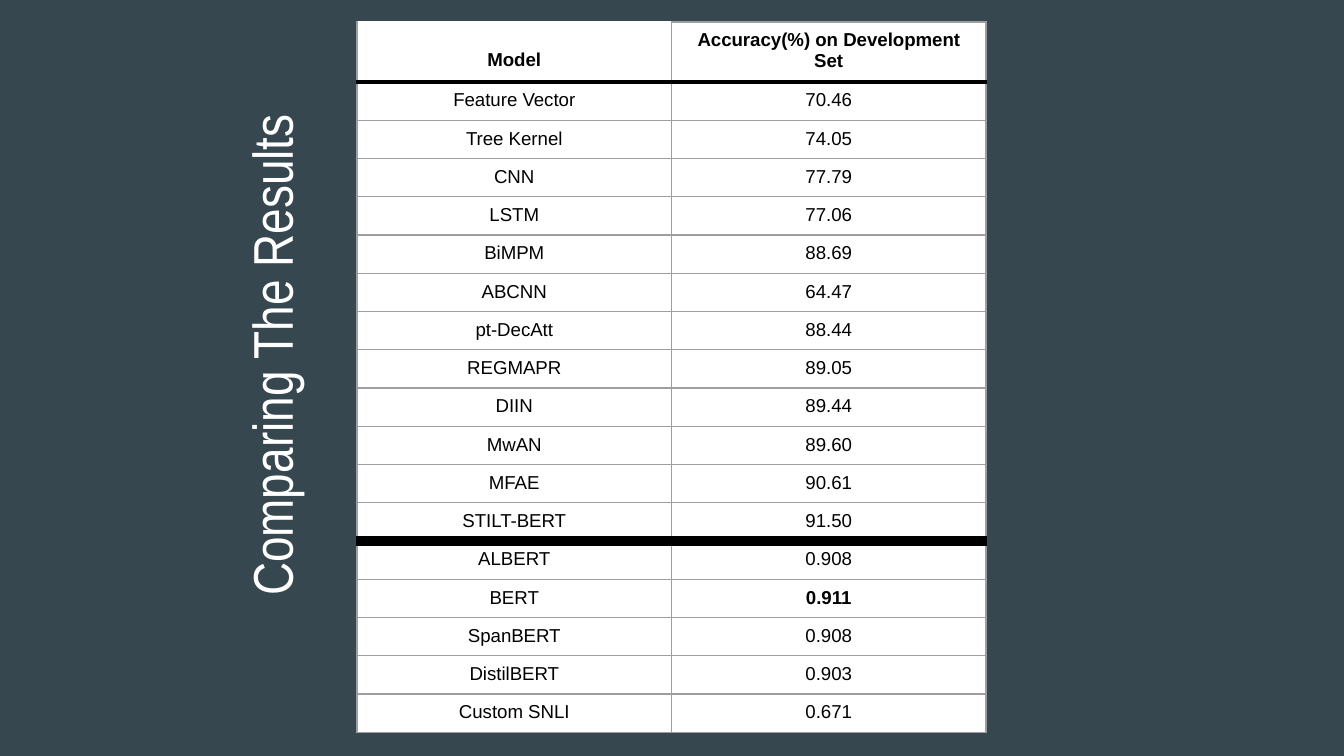
from dataclasses import dataclass

from lxml.etree import SubElement
from pptx import Presentation
from pptx.dml.color import RGBColor
from pptx.enum.text import MSO_ANCHOR, MSO_AUTO_SIZE, PP_ALIGN
from pptx.oxml.ns import qn
from pptx.util import Pt

PX = 9144000 / 1344  # EMU per px on a slide 1344 px wide


@dataclass(frozen=True)
class Theme:
    background: str = "37474F"
    title: str = "FFFFFF"
    cell: str = "FFFFFF"
    text: str = "000000"
    grid: str = "9E9E9E"
    rule: str = "000000"
    title_font: str = "Arial Narrow"
    table_font: str = "Arial"
    title_size: int = 30
    table_size: int = 10
    grid_width: float = 0.75


THEME = Theme()

HEADER = ("Model", "Accuracy(%) on Development Set")
RESULTS = [
    ("Feature Vector", "70.46"),
    ("Tree Kernel", "74.05"),
    ("CNN", "77.79"),
    ("LSTM", "77.06"),
    ("BiMPM", "88.69"),
    ("ABCNN", "64.47"),
    ("pt-DecAtt", "88.44"),
    ("REGMAPR", "89.05"),
    ("DIIN", "89.44"),
    ("MwAN", "89.60"),
    ("MFAE", "90.61"),
    ("STILT-BERT", "91.50"),
    ("ALBERT", "0.908"),
    ("BERT", "0.911"),
    ("SpanBERT", "0.908"),
    ("DistilBERT", "0.903"),
    ("Custom SNLI", "0.671"),
]
BEST = "0.911"
RULES_BELOW = {"Model": 2.25, "STILT-BERT": 6}  # line width in points


def px(n):
    return round(n * PX)


def style_font(p, name, size, color, bold=False):
    p.font.name = name
    p.font.size = Pt(size)
    p.font.color.rgb = RGBColor.from_string(color)
    p.font.bold = bold


def add_title(slide, text, left, top, width, height):
    sp = slide.shapes.title
    sp.left, sp.top, sp.width, sp.height = map(px, (left, top, width, height))
    sp.rotation = 270
    tf = sp.text_frame
    tf.text = text
    tf.auto_size = MSO_AUTO_SIZE.NONE
    tf.vertical_anchor = MSO_ANCHOR.TOP
    tf.margin_left = tf.margin_right = tf.margin_top = tf.margin_bottom = px(13)
    p = tf.paragraphs[0]
    p.alignment = PP_ALIGN.LEFT
    style_font(p, THEME.title_font, THEME.title_size, THEME.title)


def set_border(cell, side, color, width):
    ln = SubElement(cell._tc.get_or_add_tcPr(), qn(f"a:ln{side}"), w=str(Pt(width)))
    fill = SubElement(ln, qn("a:solidFill"))
    SubElement(fill, qn("a:srgbClr"), val=color)


def fill_cell(cell, text, bold, rule_above, rule_below):
    cell.text = text
    cell.margin_left = cell.margin_right = px(13)
    cell.margin_top = cell.margin_bottom = px(8)
    p = cell.text_frame.paragraphs[0]
    p.alignment = PP_ALIGN.CENTER
    style_font(p, THEME.table_font, THEME.table_size, THEME.text, bold)
    # Borders come before the fill in the cell properties
    for side, rule in (("L", None), ("R", None), ("T", rule_above), ("B", rule_below)):
        set_border(cell, side, THEME.rule if rule else THEME.grid, rule or THEME.grid_width)
    cell.fill.solid()
    cell.fill.fore_color.rgb = RGBColor.from_string(THEME.cell)


def add_results_table(slide, left, top, width, header_height, body_height):
    rows = [HEADER] + RESULTS
    frame = slide.shapes.add_table(len(rows), len(HEADER), px(left), px(top),
                                   px(width), px(header_height + body_height))
    table = frame.table
    table.first_row = table.horz_banding = False
    rule_above = None
    for i, values in enumerate(rows):
        table.rows[i].height = px(body_height / len(RESULTS) if i else header_height)
        rule_below = RULES_BELOW.get(values[0])
        for j, text in enumerate(values):
            fill_cell(table.cell(i, j), text, i == 0 or text == BEST, rule_above, rule_below)
        rule_above = rule_below
    # The one-line heading sits level with the second line beside it
    model = table.cell(0, 0)
    model.vertical_anchor = MSO_ANCHOR.BOTTOM
    model.margin_bottom = px(11)
    top_line = model._tc.tcPr.find(qn("a:lnT"))
    top_line.find(".//" + qn("a:srgbClr")).set("val", THEME.cell)


def main():
    prs = Presentation()
    prs.slide_width, prs.slide_height = px(1344), px(756)
    slide = prs.slides.add_slide(prs.slide_layouts[5])
    # Background
    slide.background.fill.solid()
    slide.background.fill.fore_color.rgb = RGBColor.from_string(THEME.background)
    # Vertical title beside the table
    add_title(slide, "Comparing The Results", 0, 306, 527, 79)
    # Results
    add_results_table(slide, 357, 22, 629, 60, 651)
    prs.save("out.pptx")


if __name__ == "__main__":
    main()
